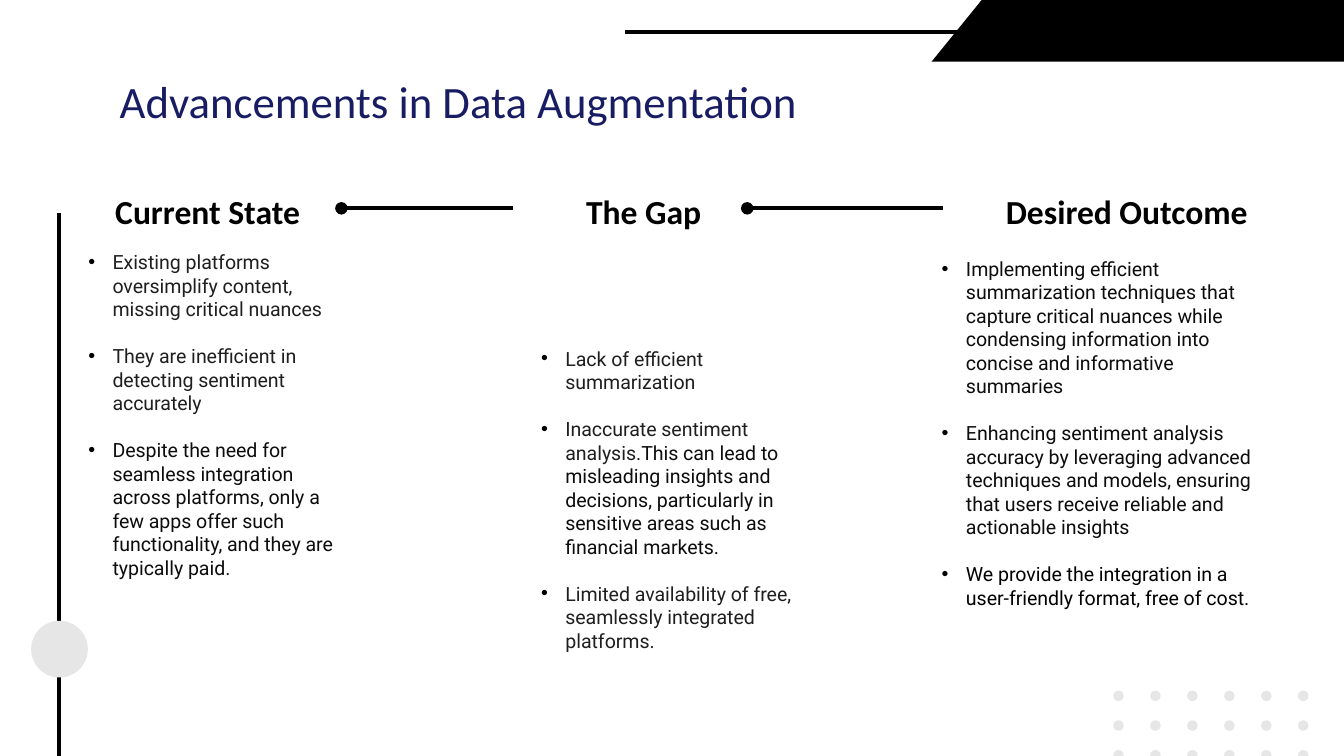
from lxml import etree
from pptx import Presentation
from pptx.dml.color import RGBColor
from pptx.enum.shapes import MSO_CONNECTOR, MSO_SHAPE
from pptx.enum.text import MSO_ANCHOR, MSO_AUTO_SIZE, PP_ALIGN
from pptx.oxml.ns import qn
from pptx.util import Pt

STRAIGHT = MSO_CONNECTOR.STRAIGHT
OVAL = MSO_SHAPE.OVAL
PARALLELOGRAM = MSO_SHAPE.PARALLELOGRAM
TOP, MIDDLE = MSO_ANCHOR.TOP, MSO_ANCHOR.MIDDLE
LEFT, CENTER = PP_ALIGN.LEFT, PP_ALIGN.CENTER
NO_AUTO_SIZE = MSO_AUTO_SIZE.NONE

COLORS = {
    "black": "000000",
    "navy": "181C62",
    "grey": "E7E6E6",
    "charcoal": "1F1F1F",
    "ink": "0D0D0D",
}
HEADING_FONT, BODY_FONT = "Calibri", "Roboto"
SLIDE_WIDTH, SLIDE_HEIGHT = 720, 405

# Each column: heading, heading left and width, list box, bullets as runs
COLUMNS = [
    ("Current State", 39.6, 143.3, (39.6, 130.3, 156.2, 198), [
        [("Existing platforms oversimplify content, missing critical nuances", "charcoal")],
        [("They are inefficient in detecting sentiment accurately", "charcoal")],
        [("Despite the need for seamless integration across platforms, only a "
          "few apps offer such functionality, and they are typically paid", "ink"),
         (".", "charcoal")],
    ]),
    ("The Gap", 289.4, 110.9, (282.2, 182, 156.2, 185.8), [
        [("Lack of efficient summarization", "charcoal")],
        [("Inaccurate sentiment analysis.", "charcoal"),
         ("This can lead to misleading insights and decisions, particularly in "
          "sensitive areas such as financial markets.", "ink")],
        [("Limited availability of free, seamlessly integrated platforms.", "charcoal")],
    ]),
    ("Desired Outcome", 517.7, 172, (496.8, 133.9, 193, 211), [
        [("Implementing efficient summarization techniques that capture critical "
          "nuances while condensing information into concise and informative "
          "summaries", "ink")],
        [("Enhancing sentiment analysis accuracy by leveraging advanced techniques "
          "and models, ensuring that users receive reliable and actionable "
          "insights", "ink")],
        [("We provide the integration in a user-friendly format, free of cost.", "black")],
    ]),
]


def rgb(name):
    return RGBColor.from_string(COLORS[name])


def add_filled_shape(slide, kind, left, top, width, height, color):
    shape = slide.shapes.add_shape(kind, Pt(left), Pt(top), Pt(width), Pt(height))
    shape.shadow.inherit = False
    shape.fill.solid()
    shape.fill.fore_color.rgb = rgb(color)
    shape.line.fill.background()
    return shape


def add_line(slide, x1, y1, x2, y2, oval_start=False):
    line = slide.shapes.add_connector(STRAIGHT, Pt(x1), Pt(y1), Pt(x2), Pt(y2))
    line.line.color.rgb = rgb("black")
    line.line.width = Pt(2.25)
    properties = line._element.spPr
    if oval_start:
        etree.SubElement(properties.find(qn("a:ln")), qn("a:headEnd"), type="oval")
    etree.SubElement(properties, qn("a:effectLst"))


def place_text(shape, left, top, width, height, anchor, vertical_inset):
    shape.left, shape.top = Pt(left), Pt(top)
    shape.width, shape.height = Pt(width), Pt(height)
    frame = shape.text_frame
    frame.word_wrap = True
    frame.auto_size = NO_AUTO_SIZE
    frame.vertical_anchor = anchor
    frame.margin_left = frame.margin_right = Pt(7.2)
    frame.margin_top = frame.margin_bottom = Pt(vertical_inset)
    return frame


def add_run(paragraph, text, font, size, color, bold=False):
    run = paragraph.add_run()
    run.text = text
    run.font.name = font
    run.font.size = Pt(size)
    run.font.bold = bold
    run.font.color.rgb = rgb(color)


def add_bullet(paragraph):
    properties = paragraph._p.get_or_add_pPr()
    properties.set("marL", str(Pt(13.5)))
    properties.set("indent", str(Pt(-13)))
    bullet_color = etree.SubElement(properties, qn("a:buClr"))
    etree.SubElement(bullet_color, qn("a:srgbClr"), val=COLORS["black"])
    etree.SubElement(properties, qn("a:buFont"), typeface="Arial")
    etree.SubElement(properties, qn("a:buChar"), char="•")


def fill_title(title):
    frame = place_text(title, 56.9, 35.3, 538.6, 54, TOP, 7.2)
    paragraph = frame.paragraphs[0]
    paragraph.alignment = LEFT
    paragraph.line_spacing = 0.9
    add_run(paragraph, "Advancements in Data Augmentation", HEADING_FONT, 24, "navy")


def add_heading(slide, text, left, width):
    box = slide.shapes.add_textbox(0, 0, 0, 0)
    frame = place_text(box, left, 92.2, width, 38.2, MIDDLE, 7.2)
    paragraph = frame.paragraphs[0]
    paragraph.alignment = CENTER
    paragraph.line_spacing = 1.15
    add_run(paragraph, text, HEADING_FONT, 18, "black", bold=True)


def fill_list(body, bounds, items):
    frame = place_text(body, *bounds, TOP, 3.6)
    for index, runs in enumerate(items):
        paragraph = frame.add_paragraph() if index else frame.paragraphs[0]
        add_bullet(paragraph)
        paragraph.alignment = LEFT
        paragraph.line_spacing = 1.0
        paragraph.space_before = Pt(12.6 if index else 0)
        for text, color in runs:
            add_run(paragraph, text, BODY_FONT, 10.5, color)


def add_decorations(slide):
    # Top banner
    banner = add_filled_shape(slide, PARALLELOGRAM, 499, 0, 342, 33.1, "black")
    banner.adjustments[0] = 0.813
    add_line(slide, 689, 17.3, 334.6, 17.3)
    # Dot grid in the bottom right corner
    for row in range(3):
        for column in range(6):
            add_filled_shape(slide, OVAL, 596.4 + 19.8 * column,
                             370 + 15.9 * row, 5.6, 5.6, "grey")
    # Left rail
    add_line(slide, 31.8, 114, 31.8, SLIDE_HEIGHT)
    add_filled_shape(slide, OVAL, 16.7, 332.6, 30.4, 30.4, "grey")


def main():
    presentation = Presentation()
    presentation.slide_width = Pt(SLIDE_WIDTH)
    presentation.slide_height = Pt(SLIDE_HEIGHT)
    # The comparison layout has a title and four bodies; three are needed
    slide = presentation.slides.add_slide(presentation.slide_layouts[4])
    title, *bodies = slide.placeholders
    spare = bodies.pop()._element
    spare.getparent().remove(spare)

    add_decorations(slide)
    fill_title(title)
    for body, (heading, left, width, bounds, items) in zip(bodies, COLUMNS):
        add_heading(slide, heading, left, width)
        fill_list(body, bounds, items)

    # Links between the headings
    for start, end in ((182.9, 275), (400.3, 505.4)):
        add_line(slide, start, 111.6, end, 111.6, oval_start=True)

    presentation.save("out.pptx")


if __name__ == "__main__":
    main()
